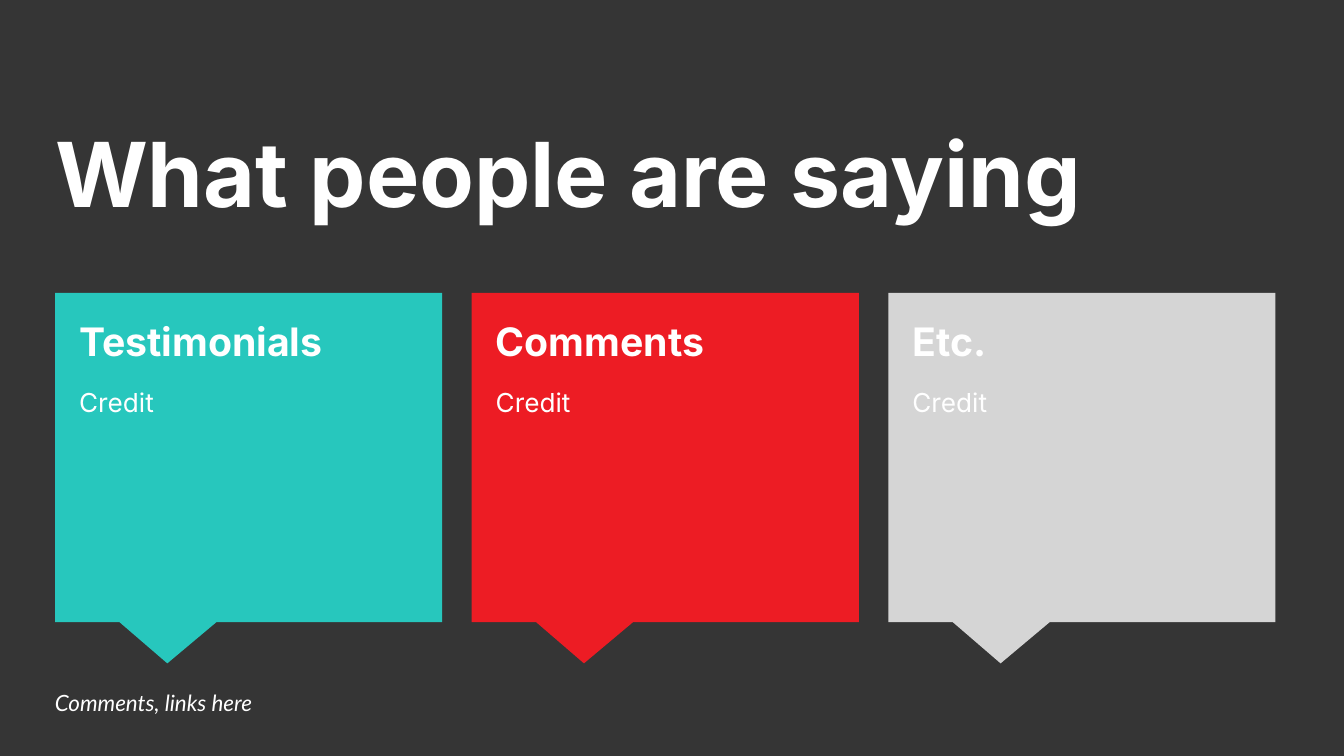
from pptx import Presentation
from pptx.dml.color import RGBColor
from pptx.enum.shapes import MSO_SHAPE
from pptx.enum.text import MSO_ANCHOR, MSO_AUTO_SIZE, PP_ALIGN
from pptx.util import Inches, Pt

COLORS = {
    "background": "353535",
    "text": "FFFFFF",
    "teal": "27C7BD",
    "red": "ED1C24",
    "gray": "D5D5D5",
}
CARDS = [("Testimonials", "teal"), ("Comments", "red"), ("Etc.", "gray")]
SLIDE_WIDTH = 10
SLIDE_HEIGHT = SLIDE_WIDTH * 9 / 16
GRID_LEFT, GRID_RIGHT, GRID_TOP = 0.41, 9.49, 2.18
CARD_WIDTH, CARD_HEIGHT = 2.88, 2.45
COLUMN_STEP = (GRID_RIGHT - GRID_LEFT - CARD_WIDTH) / (len(CARDS) - 1)
CARD_INSET = 0.08


def color(name):
    """Return the named palette colour."""
    return RGBColor.from_string(COLORS[name])


def prepare_frame(frame, anchor=MSO_ANCHOR.TOP):
    """Set wrapping, margins and anchor of a text frame."""
    frame.word_wrap = True
    frame.auto_size = MSO_AUTO_SIZE.NONE
    frame.vertical_anchor = anchor
    frame.margin_left = frame.margin_right = Inches(0.1)
    frame.margin_top = frame.margin_bottom = Inches(0.1)


def add_run(paragraph, text, size, font="Inter", bold=False, italic=False):
    """Add one formatted run to a left-aligned paragraph."""
    paragraph.alignment = PP_ALIGN.LEFT
    run = paragraph.add_run()
    run.text = text
    run.font.name = font
    run.font.size = Pt(size)
    run.font.bold = bold
    run.font.italic = italic
    run.font.color.rgb = color("text")


def set_title(slide, text):
    """Place and fill the title placeholder."""
    title = slide.shapes.title
    title.left, title.top = Inches(0.31), Inches(0.78)
    title.width, title.height = Inches(9.43), Inches(1.12)
    prepare_frame(title.text_frame)
    add_run(title.text_frame.paragraphs[0], text, 48, bold=True)


def add_text_box(slide, left, top, width, height, anchor=MSO_ANCHOR.TOP):
    """Add an empty text box and return its frame."""
    box = slide.shapes.add_textbox(
        Inches(left), Inches(top), Inches(width), Inches(height)
    )
    prepare_frame(box.text_frame, anchor)
    return box.text_frame


def add_card(slide, column, heading, fill):
    """Add a speech bubble with a heading and a credit line."""
    left = GRID_LEFT + column * COLUMN_STEP
    bubble = slide.shapes.add_shape(
        MSO_SHAPE.RECTANGULAR_CALLOUT,
        Inches(left), Inches(GRID_TOP), Inches(CARD_WIDTH), Inches(CARD_HEIGHT),
    )
    bubble.adjustments[0] = -0.21
    bubble.adjustments[1] = 0.625
    bubble.shadow.inherit = False
    bubble.fill.solid()
    bubble.fill.fore_color.rgb = color(fill)
    bubble.line.fill.background()

    words = add_text_box(slide, left + CARD_INSET, GRID_TOP + CARD_INSET, 2.71, 2.19)
    add_run(words.paragraphs[0], heading, 21, bold=True)
    credit = words.add_paragraph()
    credit.space_before = credit.space_after = Pt(12)
    add_run(credit, "Credit", 14)


def main():
    """Build and save the testimonials slide."""
    deck = Presentation()
    deck.slide_width, deck.slide_height = Inches(SLIDE_WIDTH), Inches(SLIDE_HEIGHT)
    slide = deck.slides.add_slide(deck.slide_layouts[5])
    slide.background.fill.solid()
    slide.background.fill.fore_color.rgb = color("background")

    set_title(slide, "What people are saying")
    for column, (heading, fill) in enumerate(CARDS):
        add_card(slide, column, heading, fill)
    footnote = add_text_box(slide, 0.31, 5.09, 6.83, 0.28, MSO_ANCHOR.MIDDLE)
    add_run(footnote.paragraphs[0], "Comments, links here", 12, "Lato", italic=True)
    deck.save("out.pptx")


if __name__ == "__main__":
    main()
